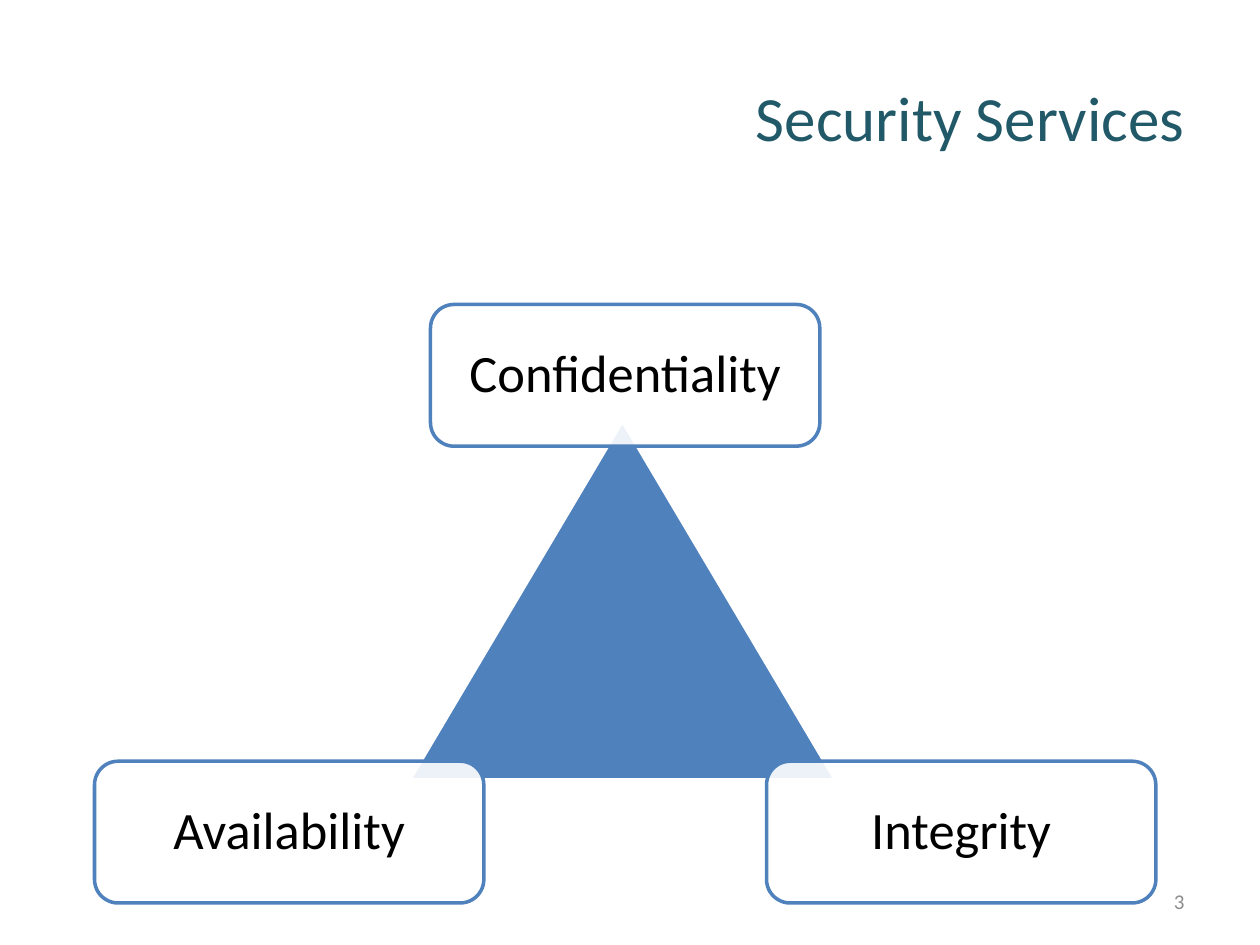
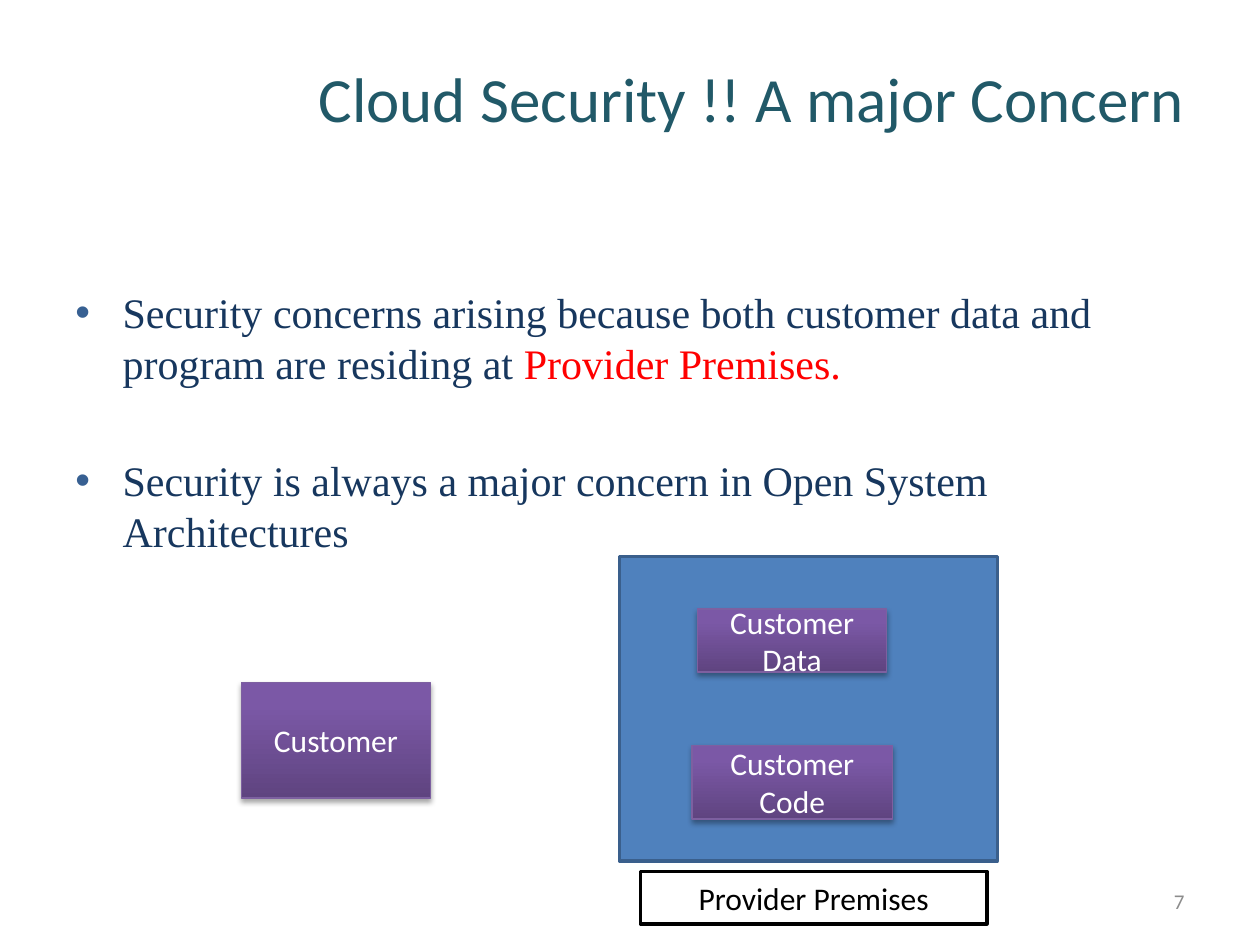
import pptx
import pptx.dml.color
import pptx.enum.shapes
import pptx.enum.text
import pptx.oxml
import pptx.oxml.ns
import pptx.util

Pt = pptx.util.Pt
Shape = pptx.enum.shapes.MSO_SHAPE
Align = pptx.enum.text.PP_ALIGN
MIDDLE = pptx.enum.text.MSO_ANCHOR.MIDDLE
TOP = pptx.enum.text.MSO_ANCHOR.TOP
NAMESPACE = pptx.oxml.ns.nsdecls("a")

COLORS = {
    "white": "FFFFFF", "black": "000000", "title": "215968", "number": "8C8C8C",
    "blue": "4F81BD", "blue edge": "3A5F8C", "purple edge": "7D60A0",
    "body": "17375E", "bullet": "376092", "alert": "FF0000",
}
PURPLE_STOPS = [(0, "5F4480"), (80, "7B58A6"), (100, "7C57A8")]


def rgb(name):
    return pptx.dml.color.RGBColor.from_string(COLORS[name])


def set_values(target, values):
    for name, value in values.items():
        setattr(target, name, value)


def add_run(paragraph, text, size, color, font="Calibri"):
    run = paragraph.add_run()
    run.text = text
    set_values(run.font, {"size": Pt(size), "name": font})
    run.font.color.rgb = rgb(color)


def set_frame(shape, anchor=MIDDLE, margins=(7.2, 3.6)):
    side, edge = (Pt(margin) for margin in margins)
    set_values(shape.text_frame, {
        "word_wrap": True, "vertical_anchor": anchor,
        "margin_left": side, "margin_right": side,
        "margin_top": edge, "margin_bottom": edge,
    })
    return shape.text_frame


def write_line(shape, text, size, color, alignment=Align.CENTER, spacing=1.0, **frame):
    paragraph = set_frame(shape, **frame).paragraphs[0]
    set_values(paragraph, {"alignment": alignment, "line_spacing": spacing})
    add_run(paragraph, text, size, color)


def add_text_box(slide, place):
    return slide.shapes.add_textbox(*map(Pt, place))


def add_box(slide, kind, place, fill, edge, edge_width=2):
    shape = slide.shapes.add_shape(kind, *map(Pt, place))
    shape.shadow.inherit = False
    shape.fill.solid()
    shape.fill.fore_color.rgb = rgb(fill)
    shape.line.color.rgb = rgb(edge)
    shape.line.width = Pt(edge_width)
    return shape


def add_rounded_label(slide, place, text):
    shape = add_box(slide, Shape.ROUNDED_RECTANGLE, place, "white", "blue")
    fill_color = shape.fill._xPr.solidFill[0]
    fill_color.append(pptx.oxml.parse_xml(f'<a:alpha {NAMESPACE} val="90000"/>'))
    write_line(shape, text, 30, "black", spacing=0.9, margins=(8.6, 8.6))


def add_purple_box(slide, place, text):
    shape = add_box(slide, Shape.RECTANGLE, place, "white", "purple edge", 0.75)
    # Gradient runs from dark at the bottom to light at the top
    shape.fill.gradient()
    shape.fill.gradient_angle = 90
    properties = shape._element.spPr
    stops = properties.find(".//" + pptx.oxml.ns.qn("a:gsLst"))
    for stop in list(stops):
        stops.remove(stop)
    for position, color in PURPLE_STOPS:
        stops.append(pptx.oxml.parse_xml(
            f'<a:gs {NAMESPACE} pos="{position * 1000}"><a:srgbClr val="{color}"/></a:gs>'))
    # Soft shadow straight below
    effects = properties.find(pptx.oxml.ns.qn("a:effectLst"))
    effects.append(pptx.oxml.parse_xml(
        f'<a:outerShdw {NAMESPACE} blurRad="{Pt(3.1)}" dist="{Pt(1.8)}" dir="5400000" '
        f'rotWithShape="0"><a:srgbClr val="{COLORS["black"]}"><a:alpha val="35000"/>'
        '</a:srgbClr></a:outerShdw>'))
    write_line(shape, text, 18, "white")


def add_bullets(slide, place, items):
    frame = set_frame(add_text_box(slide, place), TOP)
    frame.margin_top = Pt(37.6)
    for index, parts in enumerate(items):
        paragraph = frame.add_paragraph() if index else frame.paragraphs[0]
        set_values(paragraph, {"line_spacing": Pt(29), "space_before": Pt(38 if index else 0)})
        properties = paragraph._p.get_or_add_pPr()
        properties.set("marL", str(Pt(27)))
        properties.set("indent", str(Pt(-27)))
        for markup in (
            f'<a:buClr {NAMESPACE}><a:srgbClr val="{COLORS["bullet"]}"/></a:buClr>',
            f'<a:buFont {NAMESPACE} typeface="Arial"/>',
            f'<a:buChar {NAMESPACE} char="•"/>',
        ):
            properties.append(pptx.oxml.parse_xml(markup))
        for text, color in parts:
            add_run(paragraph, text, 24, color, "Times New Roman")


def add_slide(presentation, title, title_height, number):
    slide = presentation.slides.add_slide(presentation.slide_layouts[6])
    write_line(add_text_box(slide, (36, 21.6, 648, title_height)),
               title, 36, "title", Align.RIGHT)
    write_line(add_text_box(slide, (516, 500.5, 168, 28.8)),
               number, 12, "number", Align.RIGHT)
    return slide


def build_services(presentation):
    slide = add_slide(presentation, "Security Services", 90, "3")
    add_box(slide, Shape.ISOSCELES_TRIANGLE, (234, 240.5, 243.4, 205.2), "blue", "white")
    # Labels at the corners, one column step apart
    left, column_step = 54, 192
    for column, top, text in [(0, 435, "Availability"), (1, 174, "Confidentiality"),
                              (2, 435, "Integrity")]:
        add_rounded_label(slide, (left + column * column_step, top, 222.5, 81), text)


def build_concern(presentation):
    slide = add_slide(presentation, "Cloud Security !! A major Concern", 68.4, "7")
    add_bullets(slide, (36, 126, 648, 356.4), [
        [("Security concerns arising because both customer data and program are residing at ",
          "body"), ("Provider Premises.", "alert")],
        [("Security is always a major concern in Open System Architectures", "body")],
    ])
    # Customer side
    add_purple_box(slide, (138, 390, 108, 66), "Customer")
    # Provider side
    add_box(slide, Shape.RECTANGLE, (354, 318, 216, 174), "blue", "blue edge")
    add_purple_box(slide, (398.7, 348, 108, 36), "Customer Data")
    add_purple_box(slide, (395.5, 426, 114.5, 42), "Customer Code")
    premises = add_box(slide, Shape.RECTANGLE, (366, 498, 198, 30), "white", "black")
    write_line(premises, "Provider Premises", 18, "black")


def main():
    presentation = pptx.Presentation()
    set_values(presentation, {"slide_width": Pt(720), "slide_height": Pt(540)})
    build_services(presentation)
    build_concern(presentation)
    presentation.save("out.pptx")


if __name__ == "__main__":
    main()
